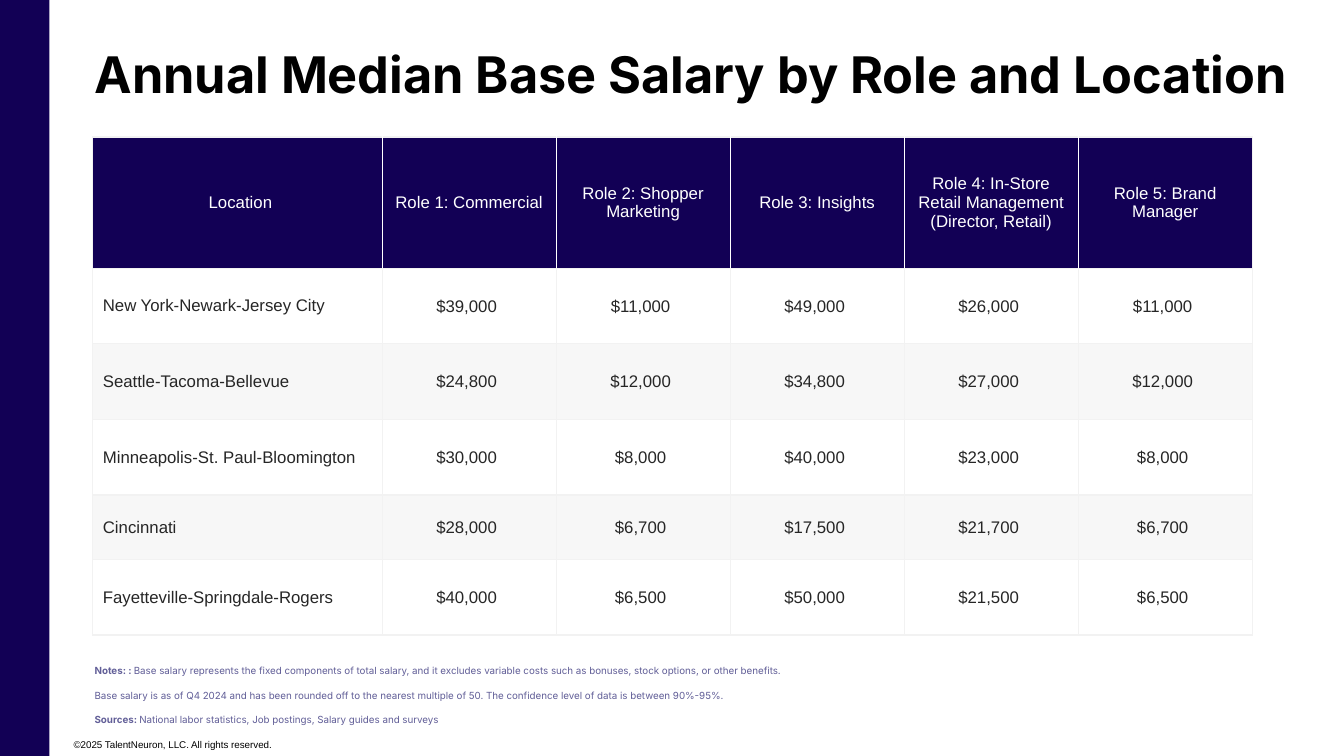
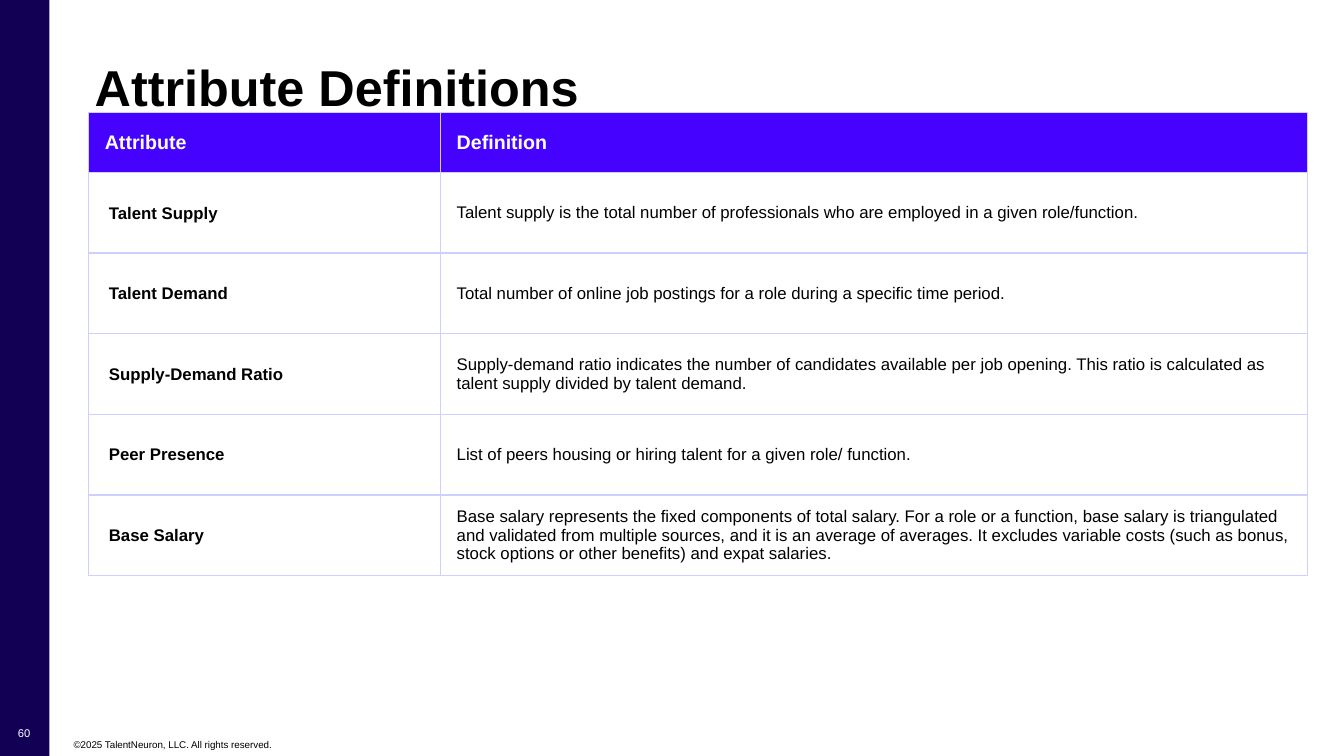
from dataclasses import dataclass, replace

from lxml.etree import SubElement
from pptx import Presentation
from pptx.dml.color import RGBColor
from pptx.enum.shapes import MSO_SHAPE
from pptx.enum.text import MSO_ANCHOR, PP_ALIGN
from pptx.oxml.ns import qn
from pptx.util import Inches, Pt


@dataclass(frozen=True)
class Theme:
    navy: str = "120055"
    violet: str = "4503FF"
    lilac: str = "CDCFFF"
    muted: str = "625F98"
    white: str = "FFFFFF"
    black: str = "000000"
    ink: str = "262626"
    band: str = "F7F7F7"
    rule: str = "F2F2F2"
    sans: str = "Arial"
    display: str = "Inter"
    title_size: float = 36
    head_size: float = 14
    body_size: float = 12
    page_size: float = 8
    note_size: float = 7


THEME = Theme()


@dataclass(frozen=True)
class TextStyle:
    size: float
    color: str = THEME.black
    font: str = THEME.sans
    bold: bool = False
    align: PP_ALIGN = PP_ALIGN.LEFT
    line_spacing: object = None
    space_before: float = 0
    indent: float = 0


@dataclass(frozen=True)
class CellStyle:
    text: TextStyle
    fill: str
    margins: tuple = (0.1, 0.05, 0.1, 0.05)
    edges: tuple = (THEME.rule,) * 4


# Shared text helpers
def add_span(para, text, style):
    span = para.add_run()
    span.text = text
    span.font.size = Pt(style.size)
    span.font.name = style.font
    span.font.bold = style.bold
    span.font.color.rgb = RGBColor.from_string(style.color)


def format_para(para, style):
    para.alignment = style.align
    if style.line_spacing:
        para.line_spacing = style.line_spacing
    if style.indent:
        para._p.get_or_add_pPr().set("marL", str(Inches(style.indent)))


def add_text(page, box, paragraphs, style, anchor=MSO_ANCHOR.MIDDLE, inset=(0.1, 0.05)):
    """Each paragraph is a list of (text, bold) pairs."""
    frame = page.shapes.add_textbox(*map(Inches, box)).text_frame
    frame.word_wrap = True
    frame.vertical_anchor = anchor
    frame.margin_left = frame.margin_right = Inches(inset[0])
    frame.margin_top = frame.margin_bottom = Inches(inset[1])
    for index, spans in enumerate(paragraphs):
        para = frame.add_paragraph() if index else frame.paragraphs[0]
        format_para(para, style)
        if index:
            para.space_before = Pt(style.space_before)
        for text, bold in spans:
            add_span(para, text, replace(style, bold=bold))


# Shared table helpers
def set_edges(cell, colors):
    properties = cell._tc.get_or_add_tcPr()
    for index, (side, color) in enumerate(zip("LRTB", colors)):
        line = SubElement(properties, qn(f"a:ln{side}"), w=str(Pt(1)))
        fill = SubElement(line, qn("a:solidFill"))
        SubElement(fill, qn("a:srgbClr"), val=color)
        properties.insert(index, line)


def fill_cell(cell, text, style):
    cell.fill.solid()
    cell.fill.fore_color.rgb = RGBColor.from_string(style.fill)
    cell.vertical_anchor = MSO_ANCHOR.MIDDLE
    (cell.margin_left, cell.margin_top,
     cell.margin_right, cell.margin_bottom) = map(Inches, style.margins)
    para = cell.text_frame.paragraphs[0]
    format_para(para, style.text)
    add_span(para, text, style.text)
    set_edges(cell, style.edges)


def add_grid(page, corner, widths, heights, rows, style_at):
    size = sum(widths), sum(heights)
    table = page.shapes.add_table(
        len(rows), len(widths), *map(Inches, (*corner, *size))).table
    table.first_row = table.horz_banding = False
    for column, width in zip(table.columns, widths):
        column.width = Inches(width)
    for row, height in zip(table.rows, heights):
        row.height = Inches(height)
    for r, values in enumerate(rows):
        for c, value in enumerate(values):
            fill_cell(table.cell(r, c), value, style_at(r, c))


# Page frame: side band, copyright line and title
def add_page(deck, title, title_font, title_top):
    page = deck.slides.add_slide(deck.slide_layouts[6])
    band = page.shapes.add_shape(
        MSO_SHAPE.RECTANGLE, 0, 0, Inches(0.49), deck.slide_height)
    band.shadow.inherit = False
    band.fill.solid()
    band.fill.fore_color.rgb = RGBColor.from_string(THEME.navy)
    band.line.fill.background()
    add_text(page, (0.73, 7.32, 7.97, 0.12),
             [[("©2025 TalentNeuron, LLC. All rights reserved.", False)]],
             TextStyle(THEME.note_size), MSO_ANCHOR.BOTTOM, (0, 0))
    add_text(page, (0.84, title_top, 12.09, 0.71), [[(title, True)]],
             TextStyle(THEME.title_size, font=title_font, line_spacing=0.9))
    return page


# Salary slide
SALARY_HEADERS = (
    "Location", "Role 1: Commercial", "Role 2: Shopper Marketing", "Role 3: Insights",
    "Role 4: In-Store Retail Management (Director, Retail)", "Role 5: Brand Manager")
SALARIES = (
    ("New York-Newark-Jersey City", 39000, 11000, 49000, 26000, 11000),
    ("Seattle-Tacoma-Bellevue", 24800, 12000, 34800, 27000, 12000),
    ("Minneapolis-St. Paul-Bloomington", 30000, 8000, 40000, 23000, 8000),
    ("Cincinnati", 28000, 6700, 17500, 21700, 6700),
    ("Fayetteville-Springdale-Rogers", 40000, 6500, 50000, 21500, 6500))
SALARY_NOTES = (
    [("Notes:\u00a0: ", True),
     ("Base salary represents the fixed components of total salary, and it excludes "
      "variable costs such as bonuses, stock options, or other benefits.", False)],
    [("Base salary is as of Q4 2024 and has been rounded off to the nearest multiple "
      "of 50. The confidence level of data is between 90%-95%.", False)],
    [("Sources: ", True),
     ("National labor statistics, Job postings, Salary guides and surveys", False)])


def salary_style(row, column):
    tight = Pt(13.5)
    if row == 0:
        last = len(SALARY_HEADERS) - 1
        edges = (THEME.white if column else THEME.rule,
                 THEME.white if column < last else THEME.rule, THEME.rule, THEME.rule)
        text = TextStyle(THEME.body_size, THEME.white, align=PP_ALIGN.CENTER,
                         line_spacing=tight if column else None,
                         indent=0 if column else 0.06)
        return CellStyle(text, THEME.navy, edges=edges)
    fill = THEME.white if row % 2 else THEME.band
    text = TextStyle(THEME.body_size, THEME.ink)
    if column == 0:
        return CellStyle(replace(text, line_spacing=tight), fill)
    return CellStyle(replace(text, align=PP_ALIGN.CENTER), fill, (0.01, 0.01, 0.06, 0))


def add_salary_slide(deck):
    page = add_page(deck, "Annual Median Base Salary by Role and Location",
                    THEME.display, 0.41)
    rows = [SALARY_HEADERS]
    rows += [(place, *(f"${pay:,}" for pay in pays)) for place, *pays in SALARIES]
    add_grid(page, (0.92, 1.36), (2.87,) + (1.726,) * 5,
             (1.3, 0.75, 0.75, 0.75, 0.64, 0.75), rows, salary_style)
    add_text(page, (0.84, 6.56, 12.09, 0.7), SALARY_NOTES,
             TextStyle(THEME.note_size, THEME.muted, THEME.display,
                       line_spacing=0.9, space_before=10), MSO_ANCHOR.TOP)


# Definitions slide
DEFINITIONS = (
    ("Attribute", "Definition"),
    ("Talent Supply", "Talent supply is the total number of professionals who are "
     "employed in a given role/function."),
    ("Talent Demand", "Total number of online job postings for a role during a "
     "specific time period."),
    ("Supply-Demand Ratio", "Supply-demand ratio indicates the number of candidates "
     "available per job opening. This ratio is calculated as talent supply divided by "
     "talent demand."),
    ("Peer Presence", "List of peers housing or hiring talent for a given role/ function."),
    ("Base Salary", "Base salary represents the fixed components of total salary. For a "
     "role or a function, base salary is triangulated and validated from multiple "
     "sources, and it is an average of averages. It excludes variable costs (such as "
     "bonus, stock options or other benefits) and expat salaries."))


def definition_style(row, column):
    edges = (THEME.lilac,) * 4
    label_margins = (0.1, 0.01, 0.1, 0)
    if row == 0:
        text = TextStyle(THEME.head_size, THEME.white, bold=True, indent=0.06)
        return CellStyle(text, THEME.violet, label_margins, edges)
    if column == 0:
        text = TextStyle(THEME.body_size, bold=True, indent=0.1)
        return CellStyle(text, THEME.white, label_margins, edges)
    text = TextStyle(THEME.body_size, indent=0.06)
    return CellStyle(text, THEME.white, (0.1,) * 4, edges)


def add_definitions_slide(deck):
    page = add_page(deck, "Attribute Definitions", THEME.sans, 0.54)
    add_text(page, (0.05, 7.11, 0.38, 0.33), [[("60", False)]],
             TextStyle(THEME.page_size, THEME.white, align=PP_ALIGN.CENTER))
    add_grid(page, (0.88, 1.12), (3.49, 8.6), (0.59,) + (0.8,) * 5,
             DEFINITIONS, definition_style)


def main():
    deck = Presentation()
    deck.slide_width, deck.slide_height = Inches(13.33), Inches(7.5)
    add_salary_slide(deck)
    add_definitions_slide(deck)
    deck.save("out.pptx")


if __name__ == "__main__":
    main()
